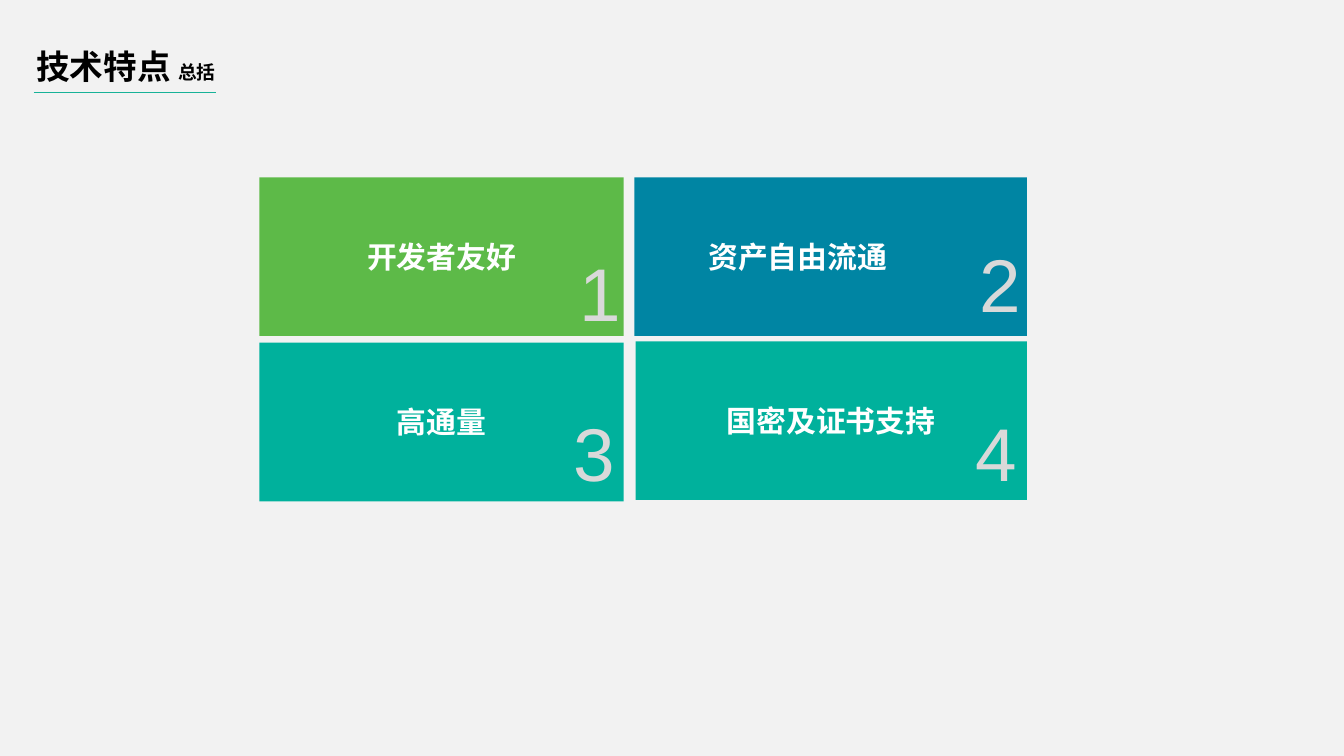
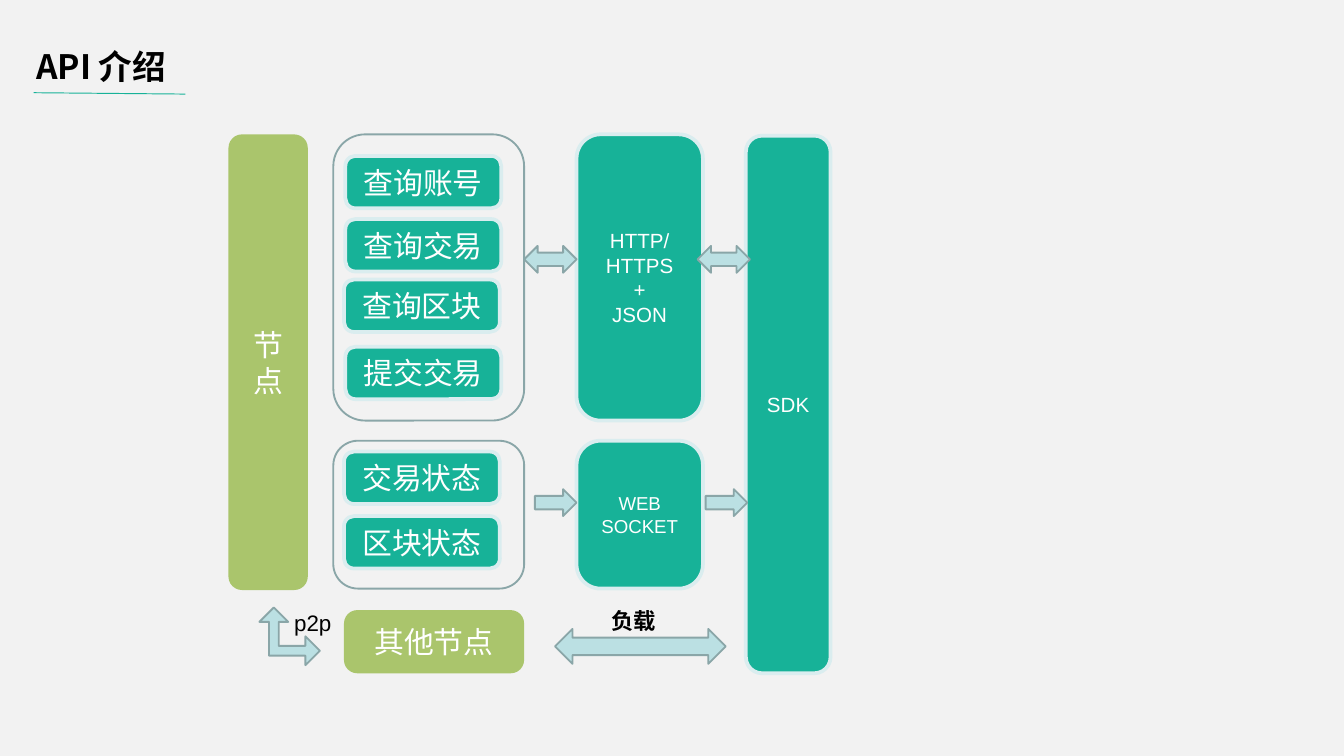
from dataclasses import dataclass

from lxml.etree import SubElement
from pptx import Presentation
from pptx.dml.color import RGBColor as RGB
from pptx.enum.shapes import MSO_CONNECTOR as CONN, MSO_SHAPE as SHAPE
from pptx.enum.text import MSO_ANCHOR as ANCHOR, MSO_AUTO_SIZE as FIT, PP_ALIGN as ALIGN
from pptx.oxml.ns import qn
from pptx.util import Emu, Pt

PX = 9144


@dataclass(frozen=True)
class Theme:
    latin: str = "Arial"
    cjk: str = "Noto Sans CJK SC"
    paper: str = "F2F2F2"
    ink: str = "000000"
    white: str = "FFFFFF"
    number: str = "D9D9D9"
    green: str = "5DBA48"
    blue: str = "0085A3"
    teal: str = "00B19C"
    api: str = "17B298"
    api_edge: str = "DAEDEF"
    node: str = "AAC56C"
    arrow: str = "BBE0E3"
    outline: str = "8AA6A8"
    title_size: int = 18
    number_size: int = 40
    box_size: int = 16
    label_size: int = 12
    tech_size: int = 11
    small_size: int = 10


def px(*values):
    return [Emu(v * PX) for v in values]


class Deck:
    """Holds the theme and the current slide, and draws each kind of element."""

    def __init__(self, theme):
        self.t = theme
        self.prs = Presentation()
        self.prs.slide_width = Emu(1000 * PX)
        self.prs.slide_height = Emu(self.prs.slide_width * 9 // 16)
        fill = self.prs.slide_master.background.fill
        fill.solid()
        fill.fore_color.rgb = RGB.from_string(theme.paper)

    def run(self, p, text, size, color, bold=False, font=None):
        r = p.add_run()
        r.text = text
        r.font.size, r.font.bold = Pt(size), bold
        r.font.name = font or self.t.latin
        r.font.color.rgb = RGB.from_string(color)
        SubElement(r.font._element, qn("a:ea"), typeface=self.t.cjk)

    def slide(self, title, width, line_end, subtitle=None):
        t = self.t
        self.s = self.prs.slides.add_slide(self.prs.slide_layouts[5])
        sp = self.s.shapes.title
        sp.left, sp.top, sp.width, sp.height = px(27, 29, width, 40)
        tf = sp.text_frame
        tf.margin_left, tf.margin_top, tf.margin_right, tf.margin_bottom = px(0, 5, 10, 5)
        tf.vertical_anchor, tf.auto_size = ANCHOR.TOP, FIT.SHAPE_TO_FIT_TEXT
        tf.word_wrap = True
        p = tf.paragraphs[0]
        p.alignment = ALIGN.LEFT
        self.run(p, title, t.title_size, t.ink, True, t.cjk)
        if subtitle:
            self.run(p, subtitle, t.small_size, t.ink, True, t.cjk)
        self.line((25, 69), line_end)

    def line(self, start, end):
        c = self.s.shapes.add_connector(CONN.STRAIGHT, *px(*start, *end))
        c.line.color.rgb = RGB.from_string(self.t.api)
        c.line.width = Pt(0.5)
        SubElement(c._element.spPr, qn("a:effectLst"))

    def shape(self, kind, at, fill=None, edge=None, edge_width=1, adj=()):
        sp = self.s.shapes.add_shape(kind, *px(*at))
        sp.shadow.inherit = False
        for i, value in enumerate(adj):
            sp.adjustments[i] = value
        if fill:
            sp.fill.solid()
            sp.fill.fore_color.rgb = RGB.from_string(fill)
        else:
            sp.fill.background()
        if edge:
            sp.line.color.rgb = RGB.from_string(edge)
            sp.line.width = Pt(edge_width)
        else:
            sp.line.fill.background()
        return sp

    def box(self, at, lines, size, fill, adj, edge=None, bold=False, indent=None):
        sp = self.shape(SHAPE.ROUNDED_RECTANGLE, at, fill, edge, 2, [adj])
        tf = sp.text_frame
        tf.word_wrap, tf.vertical_anchor = True, ANCHOR.MIDDLE
        if indent:
            tf.margin_left = Emu(indent * PX)
        for i, text in enumerate(lines):
            p = tf.add_paragraph() if i else tf.paragraphs[0]
            p.alignment = ALIGN.LEFT if indent else ALIGN.CENTER
            self.run(p, text, size, self.t.white, bold)

    def api_box(self, at, lines, size):
        self.box(at, lines, size, self.t.api, 0.19, self.t.api_edge)

    def frame(self, at):
        self.shape(SHAPE.ROUNDED_RECTANGLE, at, edge=self.t.outline)

    def arrow(self, kind, at, adj=()):
        return self.shape(kind, at, self.t.arrow, self.t.outline, adj=adj)

    def label(self, at, text, size, color, bold=False, wrap=True):
        tf = self.s.shapes.add_textbox(*px(*at)).text_frame
        tf.word_wrap, tf.auto_size = wrap, FIT.SHAPE_TO_FIT_TEXT
        self.run(tf.paragraphs[0], text, size, color, bold)


def features(d):
    t = d.t
    d.slide("技术特点 ", 158, (161, 69), "总括")
    tiles = [
        ((193, 132, 271, 118), "开发者友好", t.green, None, (421, 179)),
        ((472, 132, 292, 118), "资产自由流通", t.blue, 55, (719, 172)),
        ((193, 255, 271, 118), "高通量", t.teal, None, (417, 298)),
        ((473, 254, 291, 118), "国密及证书支持", t.teal, None, (716, 298)),
    ]
    for n, (at, text, fill, indent, corner) in enumerate(tiles, 1):
        d.box(at, [text], t.box_size, fill, 0, bold=True, indent=indent)
        d.label((*corner, 51, 77), str(n), t.number_size, t.number, wrap=False)


def api(d):
    t = d.t
    d.slide("API 介绍", 143, (138, 70))
    for top, height in ((100, 213), (328, 110)):
        d.frame((248, top, 142, height))
    calls = [
        (257, 116, "查询账号"), (257, 163, "查询交易"), (256, 208, "查询区块"),
        (257, 258, "提交交易"), (256, 336, "交易状态"), (256, 384, "区块状态"),
    ]
    for x, y, text in calls:
        d.api_box((x, y, 116, 39), [text], t.box_size)
    d.box((170, 100, 59, 339), ["节点"], t.box_size, t.node, 0.17)
    d.api_box((429, 100, 94, 213), ["HTTP/", "HTTPS", "+", "JSON"], t.tech_size)
    d.api_box((429, 328, 94, 110), ["WEB", "SOCKET"], t.small_size)
    d.api_box((555, 101, 63, 400), ["SDK"], t.tech_size)
    for x in (390, 519):
        d.arrow(SHAPE.LEFT_RIGHT_ARROW, (x, 183, 39, 20))
    for x in (398, 525):
        d.arrow(SHAPE.RIGHT_ARROW, (x, 364, 31, 20))
    d.box((256, 454, 134, 47), ["其他节点"], t.box_size, t.node, 0.21)
    d.arrow(SHAPE.LEFT_RIGHT_ARROW, (413, 468, 127, 26))
    d.label((445, 447, 55, 30), "负载", t.label_size, t.ink, bold=True)
    d.arrow(SHAPE.LEFT_UP_ARROW, (194, 451, 43, 45), (0.17, 0.25, 0.25)).rotation = 90
    d.label((209, 448, 55, 30), "p2p", t.label_size, t.ink)


def main():
    d = Deck(Theme())
    features(d)
    api(d)
    d.prs.save("out.pptx")


if __name__ == "__main__":
    main()
